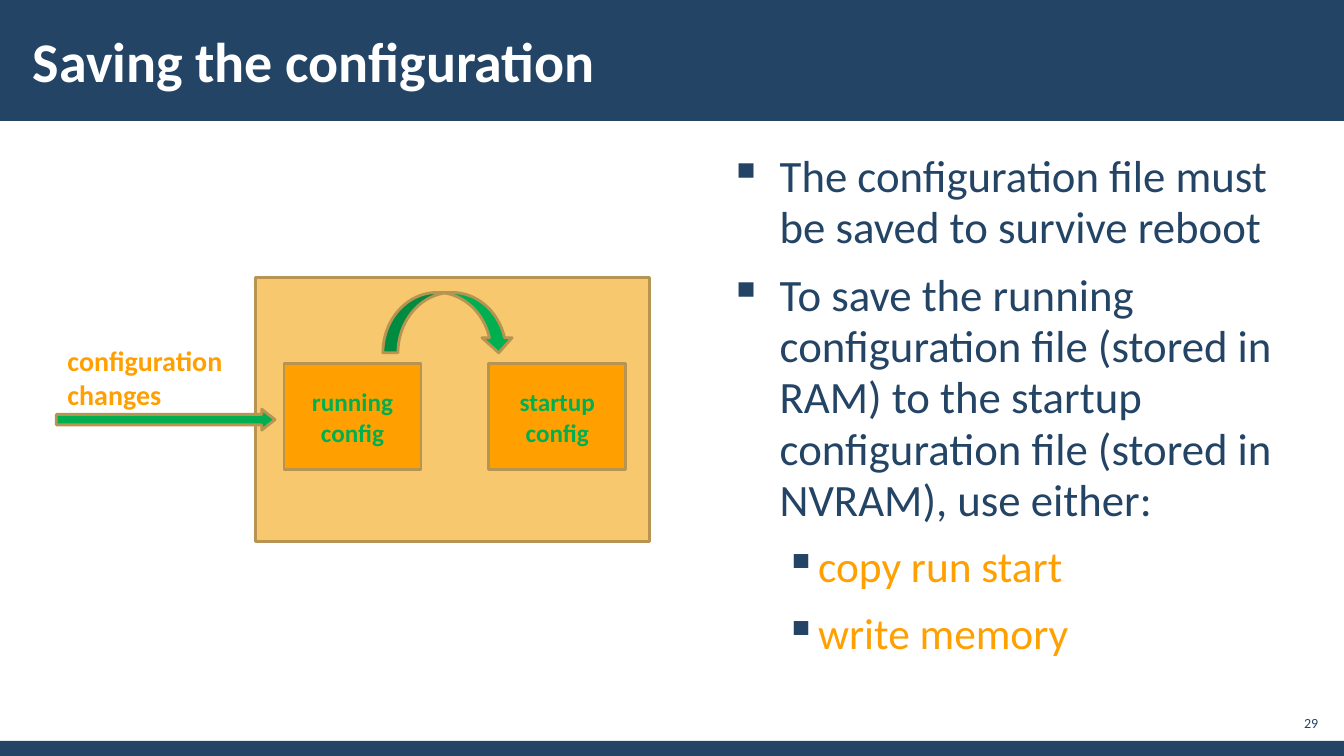
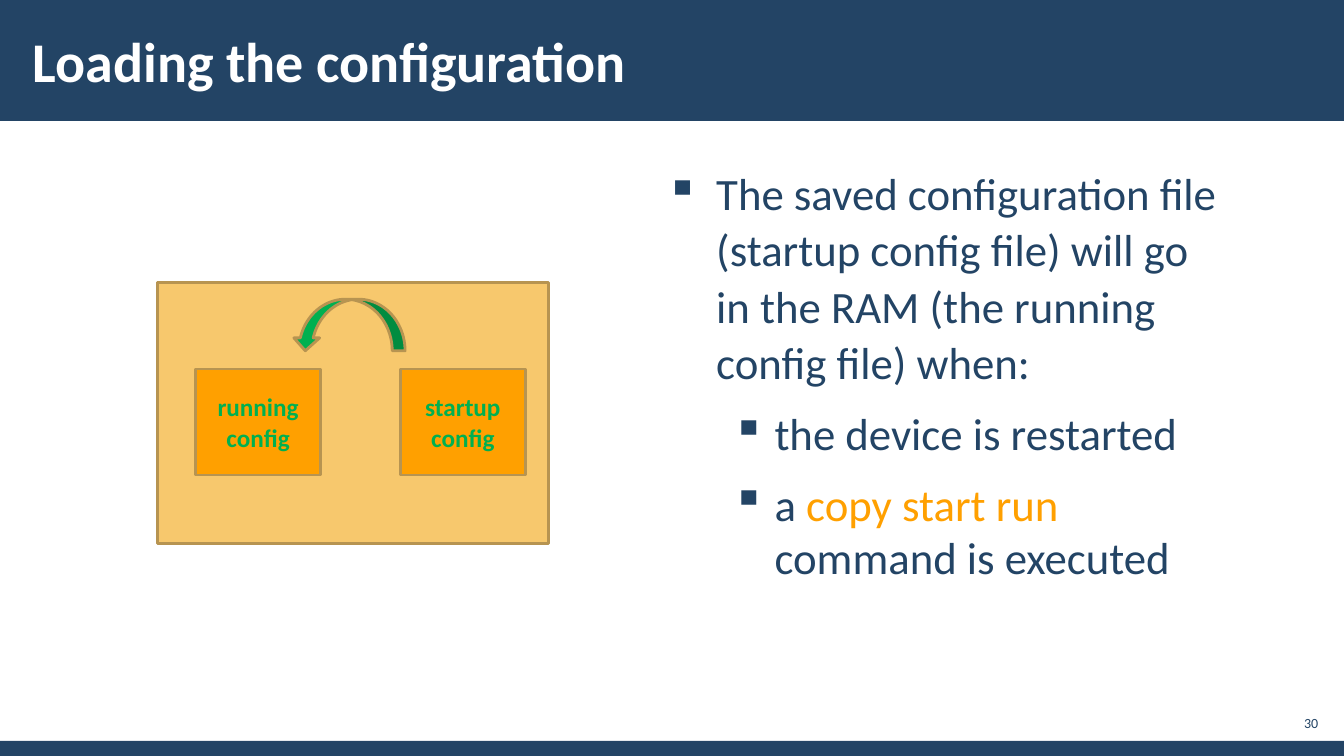
"""Build two slides on saving and loading a device configuration."""
from lxml import etree
from pptx import Presentation
from pptx.dml.color import RGBColor
from pptx.enum import shapes, text
from pptx.oxml import ns
from pptx.util import Cm, Pt

NAVY = RGBColor(0x23, 0x44, 0x65)
WHITE = RGBColor(0xFF, 0xFF, 0xFF)
ORANGE = RGBColor(0xFF, 0xA0, 0x00)
SAND = RGBColor(0xF7, 0xC8, 0x6D)
BRONZE = RGBColor(0xB7, 0x94, 0x51)
GREEN = RGBColor(0x00, 0xB0, 0x50)
FONT = "Calibri"
SLIDE_WIDTH, SLIDE_HEIGHT = 33.87, 19.05
BOX_PITCH, BOX_HEIGHT = 5.16, 2.67
PRESET = shapes.MSO_SHAPE
MIDDLE = text.MSO_ANCHOR.MIDDLE


def add_text(para, content, size, color, bold=False):
    """Add text to a paragraph, turning newlines into line breaks."""
    for index, line in enumerate(content.split("\n")):
        if index:
            para.add_line_break()
        if line:
            span = para.add_run()
            span.text = line
            span.font.name = FONT
            span.font.size = Pt(size)
            span.font.bold = bold
            span.font.color.rgb = color


def add_box(page, place, margins=(0.25, 0.13), anchor=text.MSO_ANCHOR.TOP):
    """Add an empty wrapping text box and return its text frame."""
    frame = page.shapes.add_textbox(*map(Cm, place)).text_frame
    frame.word_wrap = True
    frame.vertical_anchor = anchor
    frame.margin_left = frame.margin_right = Cm(margins[0])
    frame.margin_top = frame.margin_bottom = Cm(margins[1])
    return frame


def add_figure(page, preset, place, fill, outline=BRONZE):
    """Add a filled preset shape with an optional outline."""
    figure = page.shapes.add_shape(preset, *map(Cm, place))
    figure.shadow.inherit = False
    figure.fill.solid()
    figure.fill.fore_color.rgb = fill
    if outline is None:
        figure.line.fill.background()
    else:
        figure.line.color.rgb = outline
        figure.line.width = Pt(2)
    return figure


def add_page(deck, title, number):
    """Add a slide with its bands, title and number."""
    page = deck.slides.add_slide(deck.slide_layouts[6])
    for top, height in ((18.67, 0.38), (0, 3.05)):
        add_figure(page, PRESET.RECTANGLE, (0, top, SLIDE_WIDTH, height), NAVY, None)
    heading = add_box(page, (0.53, 0.28, 26.42, 2.46), (0.3, 0.1), MIDDLE)
    add_text(heading.paragraphs[0], title, 40, WHITE, bold=True)
    footer = add_box(page, (32.13, 17.78, 1.19, 0.86), (0.1, 0.1), MIDDLE)
    footer.paragraphs[0].alignment = text.PP_ALIGN.RIGHT
    add_text(footer.paragraphs[0], str(number), 10, NAVY)
    return page


def add_bullet(para, indent, hanging):
    """Give a paragraph a square bullet with a hanging indent."""
    props = para._p.get_or_add_pPr()
    props.set("marL", str(Cm(indent)))
    props.set("indent", str(-Cm(hanging)))
    color = etree.SubElement(props, ns.qn("a:buClr"))
    etree.SubElement(color, ns.qn("a:srgbClr"), val=str(NAVY))
    etree.SubElement(props, ns.qn("a:buChar"), char="▪")


def add_bullets(page, left, top, items):
    """Add bulleted paragraphs of (indent, hanging, spacing, size, spans)."""
    frame = add_box(page, (left, top, 15.29, 13.97), (0.3, 0.1))
    for index, (indent, hanging, spacing, size, spans) in enumerate(items):
        para = frame.add_paragraph() if index else frame.paragraphs[0]
        add_bullet(para, indent, hanging)
        para.line_spacing = spacing
        para.space_before = Pt(6 if index else 0)
        para.space_after = Pt(6)
        for content, color in spans:
            add_text(para, content, size, color)


def add_device(page, device, first_box, box_width, curve, reverse=False):
    """Draw the device, its two configurations and the copy arrow."""
    add_figure(page, PRESET.RECTANGLE, device, SAND)
    left, top = first_box
    for index, name in enumerate(("running config", "startup config")):
        place = (left + index * BOX_PITCH, top, box_width, BOX_HEIGHT)
        frame = add_figure(page, PRESET.RECTANGLE, place, ORANGE).text_frame
        frame.word_wrap = True
        frame.vertical_anchor = MIDDLE
        frame.paragraphs[0].alignment = text.PP_ALIGN.CENTER
        add_text(frame.paragraphs[0], name, 18, GREEN, bold=True)
    arrow = add_figure(page, PRESET.CURVED_DOWN_ARROW, curve, GREEN)
    if reverse:
        arrow.element.spPr.find(ns.qn("a:xfrm")).set("flipH", "1")


def add_changes(page):
    """Add the labelled arrow for incoming configuration changes."""
    label = add_box(page, (1.45, 8.53, 4.42, 1.96))
    add_text(label.paragraphs[0], "configuration", 20, ORANGE, bold=True)
    add_text(label.add_paragraph(), "changes", 20, ORANGE, bold=True)
    arrow = add_figure(page, PRESET.RIGHT_ARROW, (1.42, 10.31, 5.51, 0.53), GREEN)
    arrow.adjustments[1] = 0.63


def add_saving(deck):
    """Add the slide on saving the configuration."""
    page = add_page(deck, "Saving the configuration", 29)
    main_level, command_level = (1.27, 1.27, 0.95, 32), (2.24, 0.84, 0.95, 31)
    add_bullets(page, 18.08, 3.73, [
        (*main_level, [("The configuration file must \nbe saved to survive reboot", NAVY)]),
        (*main_level, [("To save the running \nconfiguration file (stored in \n"
                        "RAM) to the startup \nconfiguration file (stored in \n"
                        "NVRAM), use either:", NAVY)]),
        (*command_level, [("copy run start", ORANGE)]),
        (*command_level, [("write memory", ORANGE)]),
    ])
    add_device(page, (6.43, 6.99, 9.93, 6.65), (7.16, 9.17), 3.45, (9.65, 7.37, 3.3, 1.52))
    add_changes(page)


def add_loading(deck):
    """Add the slide on loading the configuration."""
    page = add_page(deck, "Loading the configuration", 30)
    case_level = (2.74, 1.07, 1.0, 32)
    add_bullets(page, 16.48, 4.01, [
        (1.27, 1.27, 1.05, 32, [("The saved configuration file \n(startup config file) will go \n"
                                 "in the RAM (the running \nconfig file) when:", NAVY)]),
        (*case_level, [("the device is restarted", NAVY)]),
        (*case_level, [("a ", NAVY), ("copy start run \n", ORANGE),
                       ("command is executed", NAVY)]),
    ])
    add_device(page, (3.96, 7.11, 9.86, 6.58), (4.93, 9.3), 3.15,
               (7.37, 7.54, 2.84, 1.3), reverse=True)


def main():
    """Build and save the deck."""
    deck = Presentation()
    deck.slide_width, deck.slide_height = Cm(SLIDE_WIDTH), Cm(SLIDE_HEIGHT)
    add_saving(deck)
    add_loading(deck)
    deck.save("out.pptx")


if __name__ == "__main__":
    main()
